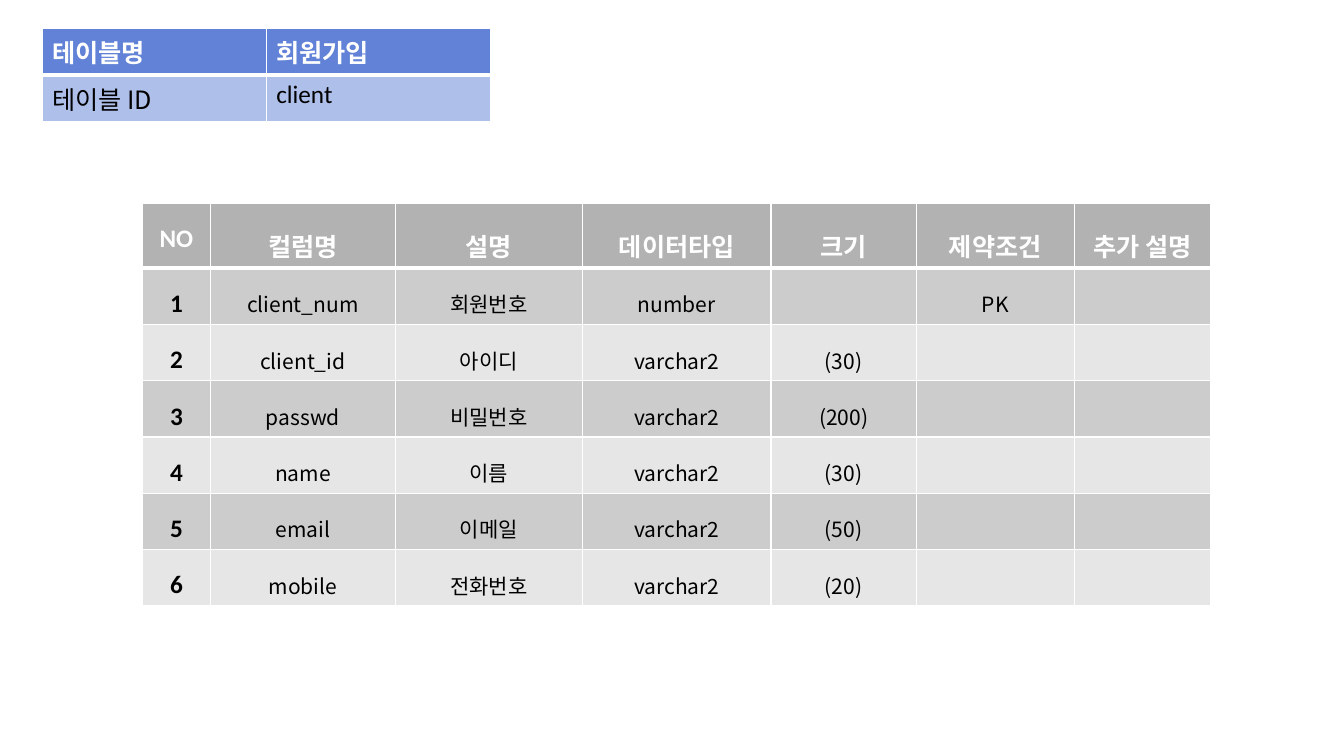
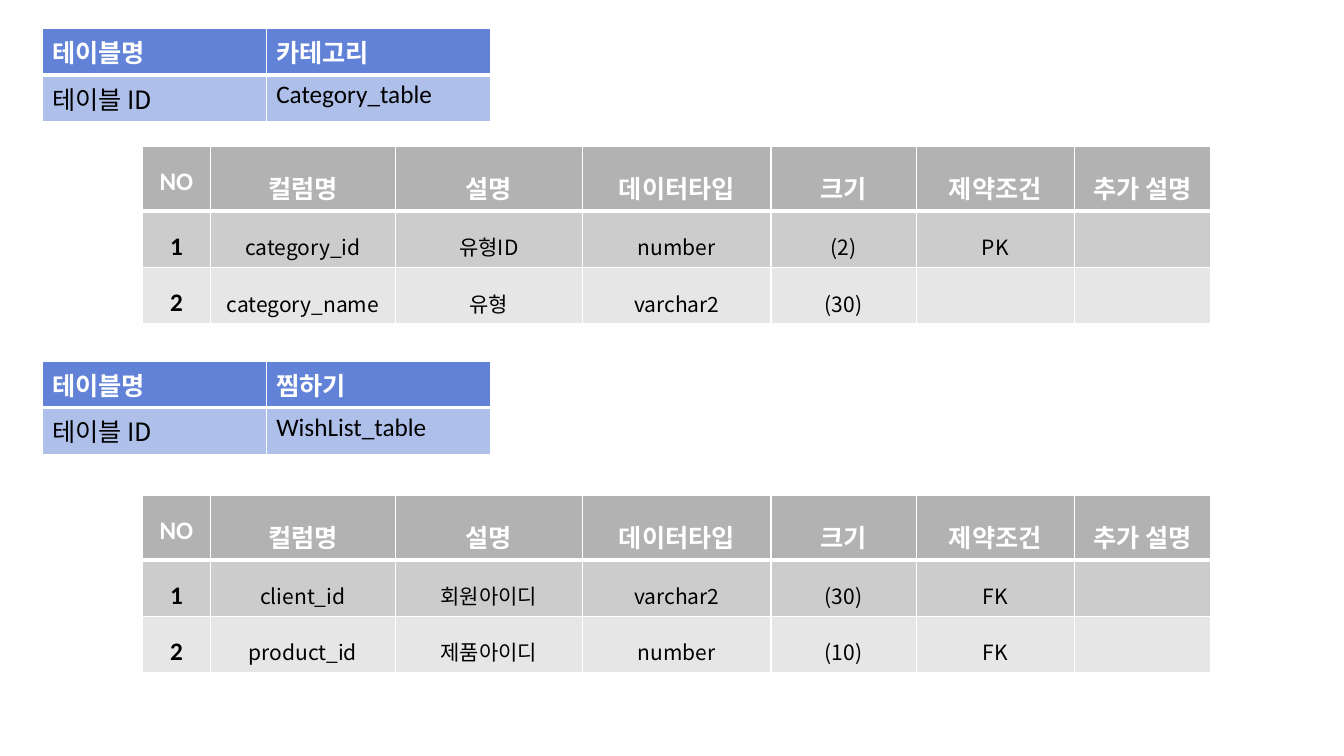
from dataclasses import dataclass

from lxml.etree import SubElement
from pptx import Presentation
from pptx.dml.color import RGBColor
from pptx.enum.text import PP_ALIGN
from pptx.oxml.ns import qn
from pptx.slide import Slide
from pptx.table import Table, _Cell
from pptx.util import Pt


@dataclass(frozen=True)
class Theme:
    white: str = "FFFFFF"
    black: str = "000000"
    name_header: str = "6182D6"
    name_body: str = "AEBFEA"
    column_header: str = "B2B2B2"
    column_bands: tuple[str, str] = ("CCCCCC", "E6E6E6")
    latin_font: str = "Calibri"
    korean_font: str = "Noto Sans CJK KR"
    large: float = 18
    small: float = 15
    thin_line: float = 1
    thick_line: float = 3


THEME = Theme()


@dataclass(frozen=True)
class TextStyle:
    font: str
    color: str
    bold: bool = False
    size: float = THEME.large


HEADER = TextStyle(THEME.latin_font, THEME.white, bold=True)
KOREAN_HEADER = TextStyle(THEME.korean_font, THEME.white, bold=True)
NUMBER = TextStyle(THEME.latin_font, THEME.black, bold=True)
NAME_LABEL = TextStyle(THEME.korean_font, THEME.black)
NAME_VALUE = TextStyle(THEME.latin_font, THEME.black)
DETAIL = TextStyle(THEME.korean_font, THEME.black, size=THEME.small)

NAME_LEFT = 30.2
NAME_WIDTHS = (160, 160)
NAME_ROW_HEIGHT = 33
COLUMN_LEFT = 101.5
COLUMN_WIDTHS = (49, 131.8, 133.9, 134.6, 103.7, 113, 97.2)
COLUMN_HEADER_HEIGHT = 45
COLUMN_ROW_HEIGHT = 40
COLUMN_HEADINGS = ("NO", "컬럼명", "설명", "데이터타입", "크기", "제약조건", "추가 설명")


@dataclass(frozen=True)
class Field:
    name: str
    description: str
    data_type: str
    size: str = ""
    constraint: str = ""
    note: str = ""


@dataclass(frozen=True)
class Entity:
    title: str
    identifier: str
    name_top: float
    column_top: float
    fields: tuple[Field, ...]


SLIDES = (
    (
        Entity("회원가입", "client", 20.2, 145.4, (
            Field("client_num", "회원번호", "number", constraint="PK"),
            Field("client_id", "아이디", "varchar2", "(30)"),
            Field("passwd", "비밀번호", "varchar2", "(200)"),
            Field("name", "이름", "varchar2", "(30)"),
            Field("email", "이메일", "varchar2", "(50)"),
            Field("mobile", "전화번호", "varchar2", "(20)"),
        )),
    ),
    (
        Entity("카테고리", "Category_table", 20.2, 104.6, (
            Field("category_id", "유형ID", "number", "(2)", "PK"),
            Field("category_name", "유형", "varchar2", "(30)"),
        )),
        Entity("찜하기", "WishList_table", 257.8, 353.7, (
            Field("client_id", "회원아이디", "varchar2", "(30)", "FK"),
            Field("product_id", "제품아이디", "number", "(10)", "FK"),
        )),
    ),
)


def add_grid(slide: Slide, left: float, top: float,
             widths: tuple[float, ...], heights: list[float]) -> Table:
    table = slide.shapes.add_table(
        len(heights), len(widths), Pt(left), Pt(top), Pt(sum(widths)), Pt(sum(heights))
    ).table
    table.horz_banding = False
    table.first_row = False
    for column, width in zip(table.columns, widths):
        column.width = Pt(width)
    for row, height in zip(table.rows, heights):
        row.height = Pt(height)
    return table


def set_borders(cell: _Cell, row: int) -> None:
    widths = {
        "a:lnL": THEME.thin_line,
        "a:lnR": THEME.thin_line,
        "a:lnT": THEME.thick_line if row == 1 else THEME.thin_line,
        "a:lnB": THEME.thick_line if row == 0 else THEME.thin_line,
    }
    properties = cell._tc.get_or_add_tcPr()
    for tag, width in widths.items():
        line = SubElement(properties, qn(tag), w=str(Pt(width)))
        fill = SubElement(line, qn("a:solidFill"))
        SubElement(fill, qn("a:srgbClr"), val=THEME.white)


def fill_cell(table: Table, row: int, column: int, text: str, style: TextStyle,
              color: str, centered: bool) -> None:
    cell = table.cell(row, column)
    set_borders(cell, row)
    cell.fill.solid()
    cell.fill.fore_color.rgb = RGBColor.from_string(color)
    if not text:
        return
    paragraph = cell.text_frame.paragraphs[0]
    if centered:
        paragraph.alignment = PP_ALIGN.CENTER
        paragraph.line_spacing = 1.5
    run = paragraph.add_run()
    run.text = text
    run.font.name = style.font
    run.font.size = Pt(style.size)
    run.font.bold = style.bold
    run.font.color.rgb = RGBColor.from_string(style.color)
    SubElement(run._r.get_or_add_rPr(), qn("a:ea"), typeface=THEME.korean_font)


def add_name_table(slide: Slide, entity: Entity) -> None:
    table = add_grid(slide, NAME_LEFT, entity.name_top, NAME_WIDTHS, [NAME_ROW_HEIGHT] * 2)
    rows = (
        (THEME.name_header, (("테이블명", KOREAN_HEADER), (entity.title, HEADER))),
        (THEME.name_body, (("테이블 ID", NAME_LABEL), (entity.identifier, NAME_VALUE))),
    )
    for row, (color, cells) in enumerate(rows):
        for column, (text, style) in enumerate(cells):
            fill_cell(table, row, column, text, style, color, centered=False)


def add_column_table(slide: Slide, entity: Entity) -> None:
    heights = [COLUMN_HEADER_HEIGHT] + [COLUMN_ROW_HEIGHT] * len(entity.fields)
    table = add_grid(slide, COLUMN_LEFT, entity.column_top, COLUMN_WIDTHS, heights)
    for column, heading in enumerate(COLUMN_HEADINGS):
        fill_cell(table, 0, column, heading, HEADER, THEME.column_header, centered=True)
    for row, field in enumerate(entity.fields, start=1):
        color = THEME.column_bands[(row - 1) % 2]
        texts = (str(row), field.name, field.description, field.data_type,
                 field.size, field.constraint, field.note)
        for column, text in enumerate(texts):
            style = DETAIL if column else NUMBER
            fill_cell(table, row, column, text, style, color, centered=True)


def main() -> None:
    presentation = Presentation()
    presentation.slide_width = Pt(960)
    presentation.slide_height = Pt(540)
    blank_layout = presentation.slide_layouts[6]
    for entities in SLIDES:
        slide = presentation.slides.add_slide(blank_layout)
        for entity in entities:
            add_name_table(slide, entity)
            add_column_table(slide, entity)
    presentation.save("out.pptx")


if __name__ == "__main__":
    main()
